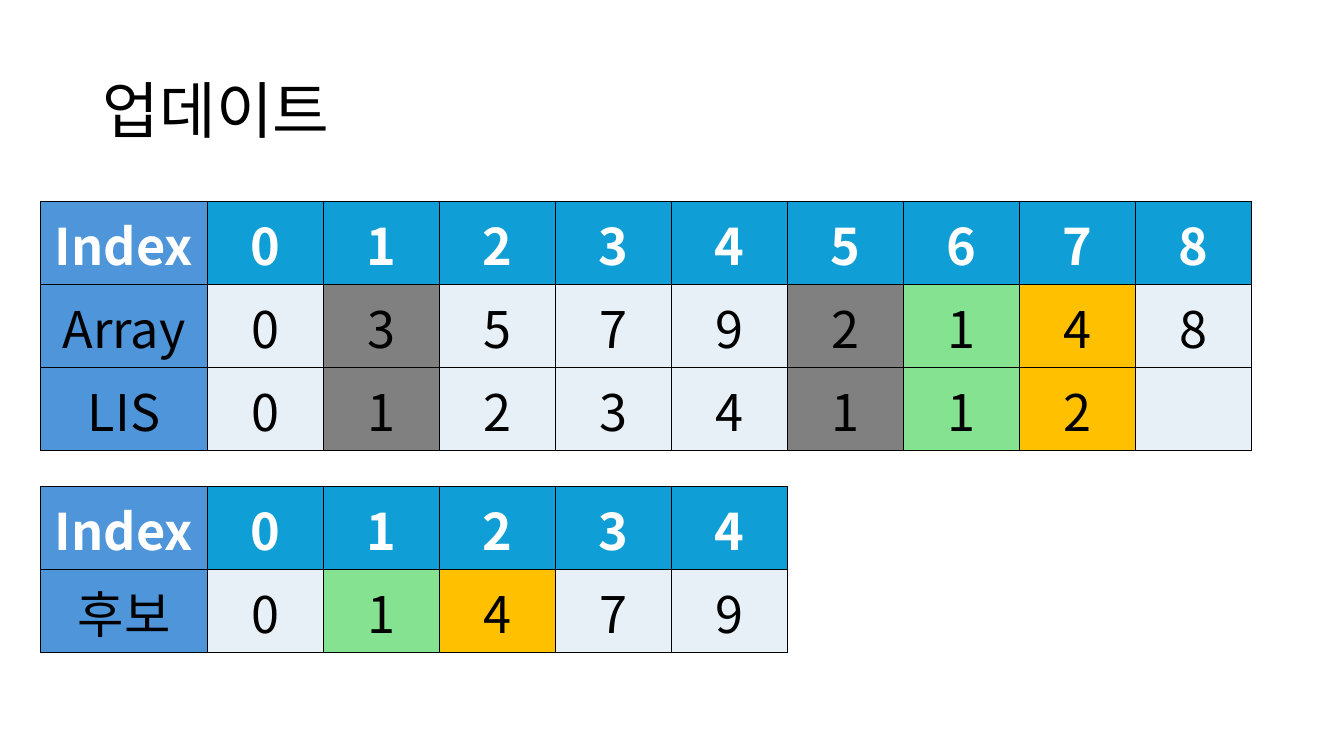
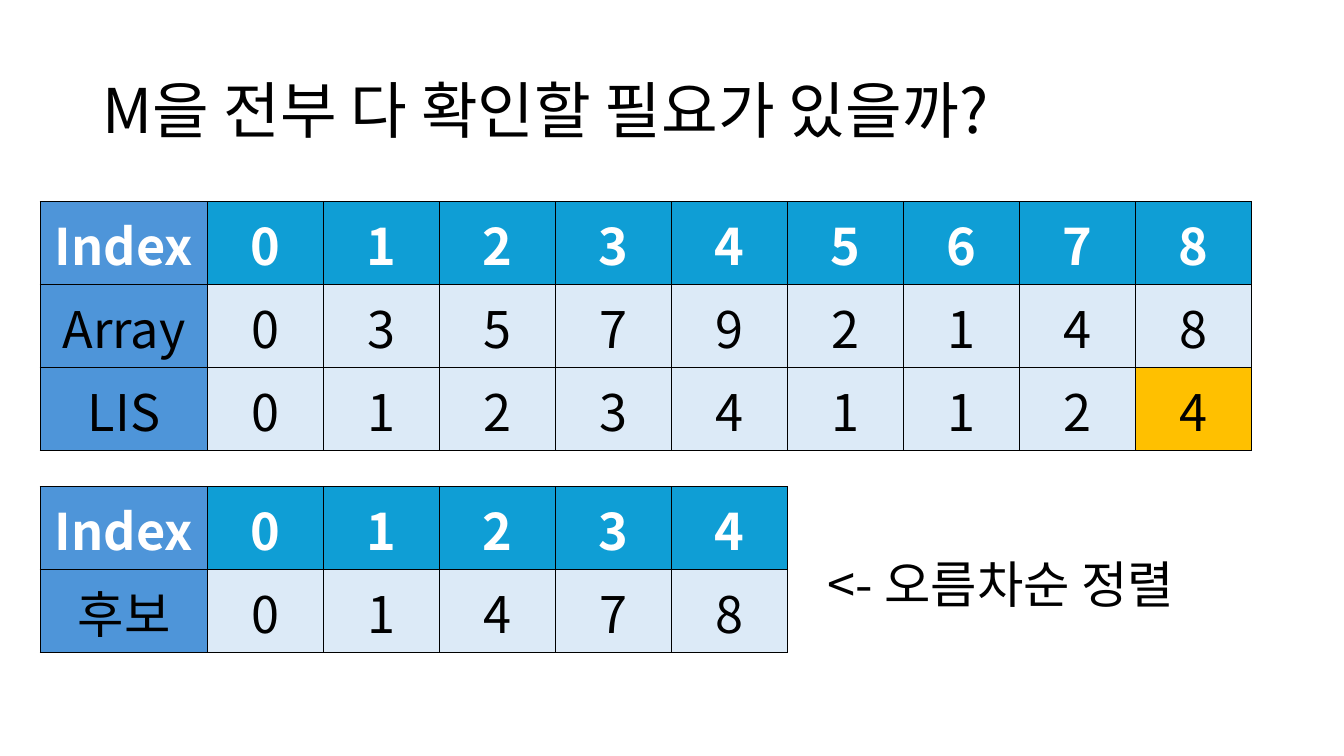
from dataclasses import dataclass

from lxml import etree
from pptx import Presentation
from pptx import util as u
from pptx.dml.color import RGBColor
from pptx.enum import text
from pptx.oxml import ns


@dataclass(frozen=True)
class Theme:
    font: str = "Noto Sans CJK KR"
    title_size: int = 44
    body_size: int = 36
    ink: str = "000000"
    white: str = "FFFFFF"
    label: str = "4E95D9"
    header: str = "0F9ED5"
    pale: str = "E7F0F7"
    sky: str = "DCEAF7"
    grey: str = "808080"
    green: str = "84E291"
    amber: str = "FFC000"


theme = Theme()
PX = 9144  # EMU in one px, 100 px to the inch


def style_text(frame, words, size, color, align, bold=False):
    """Write one paragraph, centred vertically, in the deck's font."""
    frame.text = words
    para = frame.paragraphs[0]
    para.alignment = align
    font = para.font
    font.name, font.size, font.bold = theme.font, u.Pt(size), bold
    font.color.rgb = RGBColor.from_string(color)
    east_asian = etree.SubElement(para._p.pPr.find(ns.qn("a:defRPr")), ns.qn("a:ea"))
    east_asian.set("typeface", theme.font)
    return para


def add_grid(page, top, rows, cell_color, marks):
    """Draw an index row above labelled rows; marks maps label to {index: colour}."""
    label_width, cell_width, row_height, left = 166, 115, 82, 40
    count = len(next(iter(rows.values())))
    lines = {"Index": range(count), **rows}
    grid = page.shapes.add_table(
        len(lines), count + 1, left * PX, top * PX,
        (label_width + count * cell_width) * PX, len(lines) * row_height * PX).table
    for number, column in enumerate(grid.columns):
        column.width = (cell_width if number else label_width) * PX
    for row, (label, values) in enumerate(lines.items()):
        grid.rows[row].height = row_height * PX
        for col, value in enumerate([label, *values]):
            cell = grid.cell(row, col)
            cell.vertical_anchor = text.MSO_ANCHOR.MIDDLE
            style_text(cell.text_frame, str(value), theme.body_size,
                       theme.ink if row else theme.white,
                       text.PP_ALIGN.CENTER, bold=row == 0)
            # Borders come before the fill in the cell properties
            for side in ("lnL", "lnR", "lnT", "lnB"):
                border = etree.SubElement(cell._tc.get_or_add_tcPr(), ns.qn(f"a:{side}"))
                border.set("w", str(u.Pt(1)))
                paint = etree.SubElement(border, ns.qn("a:solidFill"))
                etree.SubElement(paint, ns.qn("a:srgbClr")).set("val", theme.ink)
            if col == 0:
                fill = theme.label
            elif row == 0:
                fill = theme.header
            else:
                fill = marks.get(label, {}).get(col - 1, cell_color)
            cell.fill.solid()
            cell.fill.fore_color.rgb = RGBColor.from_string(fill)


# Content of the slides
array = [0, 3, 5, 7, 9, 2, 1, 4, 8]
lengths = [0, 1, 2, 3, 4, 1, 1, 2]
steps = {1: theme.grey, 5: theme.grey, 6: theme.green, 7: theme.amber}
slides = [
    {"title": "업데이트", "cell": theme.pale,
     "last": "", "candidates": [0, 1, 4, 7, 9], "note": "",
     "marks": {"Array": steps, "LIS": steps,
               "후보": {1: theme.green, 2: theme.amber}}},
    {"title": "M을 전부 다 확인할 필요가 있을까?", "cell": theme.sky,
     "last": 4, "candidates": [0, 1, 4, 7, 8], "note": "<- 오름차순 정렬",
     "marks": {"LIS": {8: theme.amber}}},
]

deck = Presentation()
deck.slide_width, deck.slide_height = 1333 * PX, 750 * PX
title_only = deck.slide_layouts[5]

for content in slides:
    page = deck.slides.add_slide(title_only)

    # Title
    title = page.shapes.title
    title.left, title.top, title.width, title.height = (
        side * PX for side in (92, 40, 1150, 145))
    title.text_frame.auto_size = text.MSO_AUTO_SIZE.NONE
    title.text_frame.vertical_anchor = text.MSO_ANCHOR.MIDDLE
    para = style_text(title.text_frame, content["title"], theme.title_size,
                      theme.ink, text.PP_ALIGN.LEFT)
    para.line_spacing = 0.9

    # Sequence table and candidate table
    sequence = {"Array": array, "LIS": [*lengths, content["last"]]}
    add_grid(page, 200, sequence, content["cell"], content["marks"])
    add_grid(page, 483, {"후보": content["candidates"]}, content["cell"], content["marks"])

    # Note beside the candidates
    if content["note"]:
        box = page.shapes.add_textbox(811 * PX, 551 * PX, 499 * PX, 72 * PX)
        box.text_frame.word_wrap = True
        para = style_text(box.text_frame, content["note"], theme.body_size,
                          theme.ink, text.PP_ALIGN.LEFT)
        para.line_spacing = 0.9

deck.save("out.pptx")
